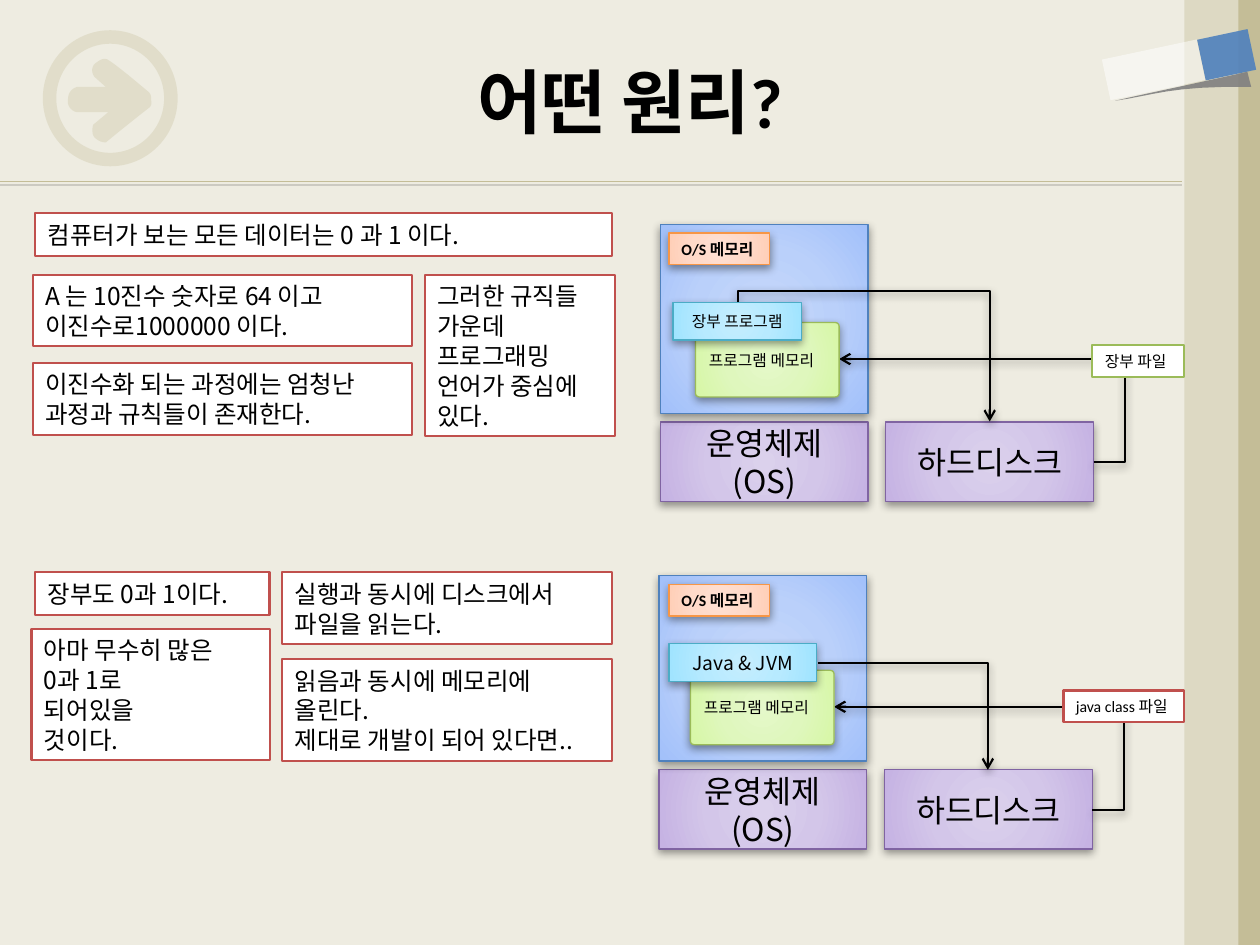
from lxml import etree
from pptx import Presentation
from pptx.dml.color import RGBColor
from pptx.enum.shapes import MSO_CONNECTOR, MSO_SHAPE
from pptx.enum.text import MSO_ANCHOR, MSO_AUTO_SIZE, PP_ALIGN
from pptx.oxml import parse_xml
from pptx.oxml.ns import nsdecls, qn
from pptx.util import Inches, Pt

RECT, ROUNDED, DONUT = MSO_SHAPE.RECTANGLE, MSO_SHAPE.ROUNDED_RECTANGLE, MSO_SHAPE.DONUT
STRAIGHT, ELBOW = MSO_CONNECTOR.STRAIGHT, MSO_CONNECTOR.ELBOW
TOP, MIDDLE = MSO_ANCHOR.TOP, MSO_ANCHOR.MIDDLE
LEFT, CENTER = PP_ALIGN.LEFT, PP_ALIGN.CENTER
FIT_SHAPE = MSO_AUTO_SIZE.SHAPE_TO_FIT_TEXT

NOTO, CALIBRI = "Noto Sans CJK KR", "Calibri"
RED, GREEN = "C0504D", "9BBB59"
SOFT_SHADOW = (40, 5, 2)  # opacity in percent, blur and distance in points
PURPLE = (("DBD1EC", "D3C6E9", "C6B3E3", "C2ACE3"), "8064A2")
BLUE = (("C8D9FA", "BAD0FA", "A3C1FA", "99BCFD"), "4F81BD")
ORANGE = (("FFE0D3", "FFDAC9", "FFCFB8", "FFCBB3"), "F79646")
LIME = (("E5F8CA", "DFF7BD", "D7F7A7", "D5F99E"), GREEN)
CYAN = (("C5EDFE", "B7EAFF", "A1E4FF", "9BE3FF"), "4BACC6")


def paint(item, fill=None, line=None, width=0.75, opacity=100, shadow=None):
    """Fill is one hex colour, or four for a gradient from the centre outwards."""
    properties = item._element.spPr
    if isinstance(fill, tuple):
        item.fill.gradient()
        stops = "".join(
            f'<a:gs pos="{place * 1000}"><a:srgbClr val="{colour}"/></a:gs>'
            for place, colour in zip((0, 50, 97, 100), fill))
        properties.replace(properties.find(qn("a:gradFill")), parse_xml(
            f'<a:gradFill {nsdecls("a")}><a:gsLst>{stops}</a:gsLst><a:path path="circle">'
            '<a:fillToRect l="50000" t="50000" r="50000" b="50000"/></a:path></a:gradFill>'))
    elif fill:
        item.fill.solid()
        item.fill.fore_color.rgb = RGBColor.from_string(fill)
        if opacity < 100:
            colour = properties.find(qn("a:solidFill"))[0]
            etree.SubElement(colour, qn("a:alpha"), val=str(opacity * 1000))
    if line:
        item.line.color.rgb = RGBColor.from_string(line)
        item.line.width = Pt(width)
    else:
        item.line.fill.background()
    effects = etree.SubElement(properties, qn("a:effectLst"))
    if shadow:
        alpha, blur, distance = shadow
        effects.append(parse_xml(
            f'<a:outerShdw {nsdecls("a")} blurRad="{Pt(blur)}" dist="{Pt(distance)}" '
            'dir="5400000" rotWithShape="0"><a:srgbClr val="000000">'
            f'<a:alpha val="{alpha * 1000}"/></a:srgbClr></a:outerShdw>'))


def add_box(box, lines, size=14, font=NOTO, bold=False, align=LEFT, anchor=TOP,
            wrap=True, grow=False, kind=RECT, **look):
    shape = slide.shapes.add_shape(kind, *map(Inches, box))
    if kind == ROUNDED:
        shape.adjustments[0] = 0.05
    paint(shape, **look)
    frame = shape.text_frame
    frame.word_wrap = wrap
    frame.vertical_anchor = anchor
    if grow:
        frame.auto_size = FIT_SHAPE
    for number, line in enumerate(lines):
        paragraph = frame.add_paragraph() if number else frame.paragraphs[0]
        paragraph.alignment = align
        paragraph.line_spacing = Pt(size * 1.22)
        run = paragraph.add_run()
        run.text = line
        run.font.name = font
        run.font.size = Pt(size)
        run.font.bold = bold
        run.font.color.rgb = RGBColor.from_string("000000")
        etree.SubElement(run._r.rPr, qn("a:ea"), typeface=NOTO)


prs = Presentation()
prs.slide_width, prs.slide_height = Inches(10), Inches(7.5)
slide = prs.slides.add_slide(prs.slide_layouts[5])
slide.background.fill.solid()
slide.background.fill.fore_color.rgb = RGBColor.from_string("EEECE1")

# Header rule, side bands, arrow emblem and eraser
rule = slide.shapes.add_connector(STRAIGHT, 0, Inches(1.44), Inches(9.38), Inches(1.44))
paint(rule, line="C4BD97", shadow=(22, 0, 2))

ring = slide.shapes.add_shape(DONUT, *map(Inches, (0.34, 0.24, 1.07, 1.08)))
ring.adjustments[0] = 0.1
paint(ring, "C4BD97", opacity=30)
add_box((9.41, 0, 0.59, 7.5), [], fill="C4BD97")
add_box((9.4, 0, 0.43, 7.5), [], fill="DDD9C3")

# Each outline is a start point, then straight (one point) or cubic (three points) segments
arrow_outline = [
    (1.18, 0.73),
    [(1.12, 0.68), (0.92, 0.51), (0.85, 0.47)], [(0.81, 0.46), (0.79, 0.48), (0.76, 0.5)],
    [(0.73, 0.52), (0.72, 0.57), (0.75, 0.61)], [(0.84, 0.69)], [(0.61, 0.69)],
    [(0.55, 0.71), (0.54, 0.76), (0.54, 0.79)], [(0.53, 0.83), (0.56, 0.88), (0.61, 0.89)],
    [(0.86, 0.89)], [(0.74, 0.99)],
    [(0.73, 1.02), (0.73, 1.07), (0.75, 1.09)], [(0.77, 1.11), (0.8, 1.13), (0.84, 1.13)],
    [(1.01, 0.99), (1.19, 0.85), (1.19, 0.85)], [(1.21, 0.82), (1.2, 0.81), (1.2, 0.79)],
    [(1.2, 0.77), (1.2, 0.75), (1.18, 0.73)]]
eraser_shade = [
    (9.9, 0.57), [(9.93, 0.69)],
    [(9.28, 0.68), (9.15, 0.76), (8.85, 0.8)], [(9.2, 0.72), (9.55, 0.65), (9.9, 0.57)]]
for (start, *segments), colour, opacity in (
        (arrow_outline, "C4BD97", 30), (eraser_shade, "808080", 90)):
    points = [start]
    for segment in segments:
        if len(segment) == 1:
            points += segment
            continue
        corners = [points[-1], *segment]
        for step in range(1, 9):
            t = step / 8
            weights = ((1 - t) ** 3, 3 * t * (1 - t) ** 2, 3 * t * t * (1 - t), t ** 3)
            points.append(tuple(sum(w * c[axis] for w, c in zip(weights, corners))
                                for axis in (0, 1)))
    points = [(Inches(x), Inches(y)) for x, y in points]
    builder = slide.shapes.build_freeform(*points[0])
    builder.add_line_segments(points[1:])
    paint(builder.convert_to_shape(), colour, opacity=opacity)

for box, colour, opacity in (((9.57, 0.23, 0.33, 0.41), "4F81BD", 90),
                             ((8.99, 0.17, 0.33, 0.77), "FFFFFF", 50)):
    eraser_part = slide.shapes.add_shape(RECT, *map(Inches, box))
    eraser_part.rotation = 78
    paint(eraser_part, colour, opacity=opacity)

title = slide.shapes.title
title.left, title.top, title.width, title.height = map(Inches, (0.5, 0.17, 9, 1.25))
title.text_frame.vertical_anchor = MIDDLE
title.text_frame.paragraphs[0].alignment = CENTER
heading = title.text_frame.paragraphs[0].add_run()
heading.text = "어떤 원리?"
heading.font.name, heading.font.size, heading.font.bold = CALIBRI, Pt(40), True
heading.font.color.rgb = RGBColor.from_string("000000")

# Explanations on the left
for box, wrap, lines in (
        ((0.28, 1.69, 4.58, 0.34), True, ["컴퓨터가 보는 모든 데이터는 0 과 1 이다."]),
        ((0.28, 4.54, 1.86, 0.34), False, ["장부도 0과 1이다."]),
        ((0.26, 2.18, 3.01, 0.57), True, ["A 는 10진수 숫자로 64 이고", "이진수로1000000 이다."]),
        ((0.26, 2.88, 3.01, 0.57), False, ["이진수화 되는 과정에는 엄청난", "과정과 규칙들이 존재한다."]),
        ((3.37, 2.18, 1.51, 1.28), False,
         ["그러한 규직들", "가운데", "프로그래밍", "언어가 중심에", "있다."]),
        ((0.25, 4.99, 1.89, 1.04), True, ["아마 무수히 많은", "0과 1로", "되어있을", "것이다."]),
        ((2.24, 4.54, 2.62, 0.57), True, ["실행과 동시에 디스크에서", "파일을 읽는다."]),
        ((2.24, 5.23, 2.62, 0.81), True,
         ["읽음과 동시에 메모리에", "올린다.", "제대로 개발이 되어 있다면.."])):
    add_box(box, lines, wrap=wrap, grow=True, fill="FFFFFF", line=RED, width=1.25)

# Two systems on the right: how a program reads its file from disk into memory
for (left, base, memory_top, work_left, program, program_box, program_size,
     file, file_box, file_line, launch_ends, launch_kind, launch_turn, launch_bend) in (
        (5.24, 3.35, 1.78, 5.52, "장부 프로그램", (5.34, 2.4, 1.02, 0.3), 9,
         "장부 파일", (8.67, 2.74, 0.73, 0.25), GREEN,
         (7.33, 1.87, 6.38, 3.87), "bentConnector3", 270, -0.09),
        (5.23, 6.11, 4.57, 5.48, "Java & JVM", (5.31, 5.11, 1.17, 0.3), 11,
         "java class 파일", (8.44, 5.48, 0.96, 0.25), RED,
         (6.49, 5.26, 7.84, 6.11), "bentConnector2", 0, None)):
    disk_left, unit_width = left + 1.79, 1.65
    for box, lines, (fill, line) in (
            ((left, base, unit_width, 0.63), ["운영체제", "(OS)"], PURPLE),
            ((left, memory_top, unit_width, base - memory_top - 0.07), [], BLUE),
            ((disk_left, base, unit_width, 0.63), ["하드디스크"], PURPLE)):
        add_box(box, lines, 18, align=CENTER, anchor=MIDDLE,
                fill=fill, line=line, shadow=SOFT_SHADOW)

    disk_right, work_right = disk_left + unit_width, work_left + 1.14
    load_ends = (disk_right, base + 0.32, work_right, base - 0.5)
    load_bend = -0.25 / (disk_right - work_right)
    for ends, kind, turn, bend in ((launch_ends, launch_kind, launch_turn, launch_bend),
                                   (load_ends, "bentConnector3", 0, load_bend)):
        flow = slide.shapes.add_connector(ELBOW, *map(Inches, ends))
        paint(flow, line="000000", width=1.25, shadow=SOFT_SHADOW)
        etree.SubElement(flow.line._ln, qn("a:tailEnd"), type="arrow")
        geometry = flow._element.spPr.find(qn("a:prstGeom"))
        geometry.set("prst", kind)
        if turn:
            flow._element.spPr.find(qn("a:xfrm")).set("rot", str(turn * 60000))
        if bend:
            etree.SubElement(geometry.find(qn("a:avLst")), qn("a:gd"),
                             name="adj1", fmla=f"val {round(bend * 100000)}")

    add_box(file_box, [file], 9, CALIBRI, wrap=False, grow=True,
            fill="FFFFFF", line=file_line, width=1.25)
    add_box((5.31, memory_top + 0.07, 0.8, 0.25), ["O/S 메모리"], 9, CALIBRI, True,
            wrap=False, grow=True, fill=ORANGE[0], line=ORANGE[1], shadow=SOFT_SHADOW)
    add_box((work_left, base - 0.79, 1.14, 0.59), ["프로그램 메모리"], 9, anchor=MIDDLE,
            kind=ROUNDED, fill=LIME[0], line=LIME[1], shadow=SOFT_SHADOW)
    add_box(program_box, [program], program_size, align=CENTER, anchor=MIDDLE,
            fill=CYAN[0], line=CYAN[1], shadow=SOFT_SHADOW)

prs.save("out.pptx")
